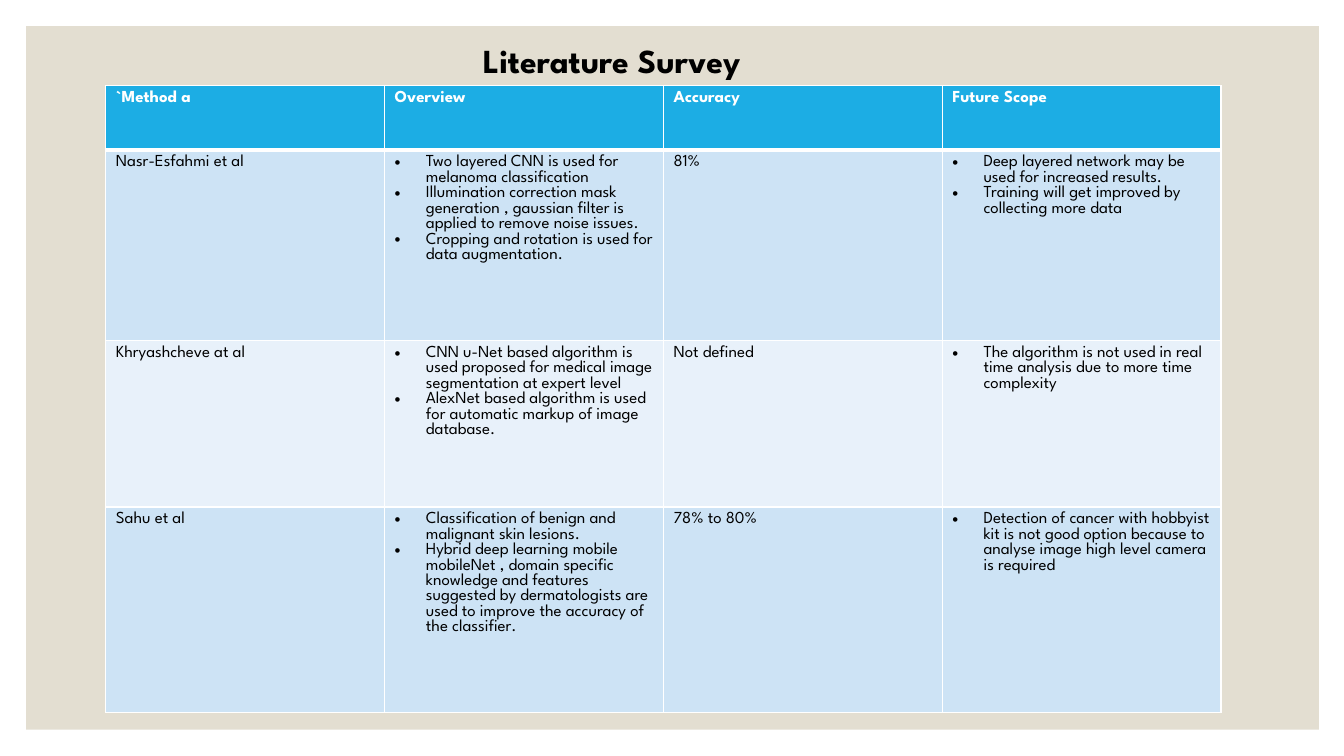
"""Build the literature survey slide."""
import pptx
import pptx.dml.color
import pptx.enum.shapes
import pptx.oxml
import pptx.oxml.ns
import pptx.util
from pptx.util import Inches

FONT = "League Spartan"
HEADS = ["`Method a", "Overview", "Accuracy", "Future Scope"]
STUDIES = [
    ["Nasr-Esfahmi et al",
     ["Two layered CNN is used for melanoma classification",
      "Illumination correction mask generation , gaussian filter is applied "
      "to remove noise issues.",
      "Cropping and rotation is used for data augmentation."],
     "81%",
     ["Deep layered network may be used for increased results.",
      "Training will get improved by collecting more data"]],
    ["Khryashcheve at al",
     ["CNN u-Net based algorithm is used proposed for medical image "
      "segmentation at expert level",
      "AlexNet based algorithm is used for automatic markup of image database."],
     "Not defined",
     ["The algorithm is not used in real time analysis due to more time "
      "complexity"]],
    ["Sahu et al",
     ["Classification of benign and malignant skin lesions.",
      "Hybrid deep learning mobile mobileNet , domain specific knowledge and "
      "features suggested by dermatologists are used to improve the accuracy "
      "of the classifier."],
     "78% to 80%",
     ["Detection of cancer with hobbyist kit is not good option because to "
      "analyse image high level camera is required"]],
]
HEIGHTS = [0.64, 1.89, 1.65, 2.04]
FILLS = ["1CADE4", "CDE3F5", "E8F1FA", "CDE3F5"]


def paint(target, color):
    """Give a shape or cell a solid fill."""
    target.fill.solid()
    target.fill.fore_color.rgb = pptx.dml.color.RGBColor.from_string(color)


def write(para, text, size, color, bold):
    """Add one styled run to a paragraph."""
    run = para.add_run()
    run.text = text
    run.font.name = FONT
    run.font.size = pptx.util.Pt(size)
    run.font.bold = bold
    run.font.color.rgb = pptx.dml.color.RGBColor.from_string(color)


def bullet(para):
    """Put a hanging bullet before a paragraph."""
    props = para._p.get_or_add_pPr()
    props.set("marL", str(Inches(0.31)))
    props.set("indent", str(-Inches(0.31)))
    space = pptx.oxml.ns.nsdecls("a")
    for tag in ('buFont %s typeface="Arial"', 'buChar %s char="•"'):
        props.append(pptx.oxml.parse_xml(f"<a:{tag % space}/>"))


def border(cell, top, bottom):
    """Draw white borders around a cell."""
    props = cell._tc.get_or_add_tcPr()
    space = pptx.oxml.ns.nsdecls("a")
    for side, width in (("L", 1), ("R", 1), ("T", top), ("B", bottom)):
        props.append(pptx.oxml.parse_xml(
            f'<a:ln{side} {space} w="{pptx.util.Pt(width)}"><a:solidFill>'
            f'<a:srgbClr val="FFFFFF"/></a:solidFill></a:ln{side}>'))


def panel(slide):
    """Add the beige backdrop."""
    shape = slide.shapes.add_shape(
        pptx.enum.shapes.MSO_SHAPE.RECTANGLE,
        Inches(0.26), Inches(0.26), Inches(12.82), Inches(6.98))
    shape.shadow.inherit = False
    paint(shape, "E3DED1")
    shape.line.fill.background()


def title(slide):
    """Add the slide heading."""
    box = slide.shapes.add_textbox(
        Inches(4.69), Inches(0.35), Inches(5.61), Inches(0.5))
    box.text_frame.word_wrap = True
    write(box.text_frame.paragraphs[0], "Literature Survey", 24, "000000", True)


def fill_cell(cell, entry, row):
    """Style a cell and write its text or bullet list."""
    border(cell, 3 if row == 1 else 1, 3 if row == 0 else 1)
    paint(cell, FILLS[row])
    listed = isinstance(entry, list)
    color = "000000" if row else "FFFFFF"
    for i, text in enumerate(entry if listed else [entry]):
        frame = cell.text_frame
        para = frame.add_paragraph() if i else frame.paragraphs[0]
        if listed:
            bullet(para)
        write(para, text, 12, color, row == 0)


def survey(slide):
    """Add the table of studies."""
    rows = [HEADS] + STUDIES
    table = slide.shapes.add_table(
        len(rows), len(HEADS), Inches(1.05), Inches(0.85),
        Inches(11.06), Inches(sum(HEIGHTS))).table
    for r, entries in enumerate(rows):
        table.rows[r].height = Inches(HEIGHTS[r])
        for c, entry in enumerate(entries):
            fill_cell(table.cell(r, c), entry, r)


def main():
    """Build and save the slide."""
    deck = pptx.Presentation()
    deck.slide_width, deck.slide_height = Inches(13.33), Inches(7.5)
    slide = deck.slides.add_slide(deck.slide_layouts[6])
    panel(slide)
    title(slide)
    survey(slide)
    deck.save("out.pptx")


if __name__ == "__main__":
    main()
